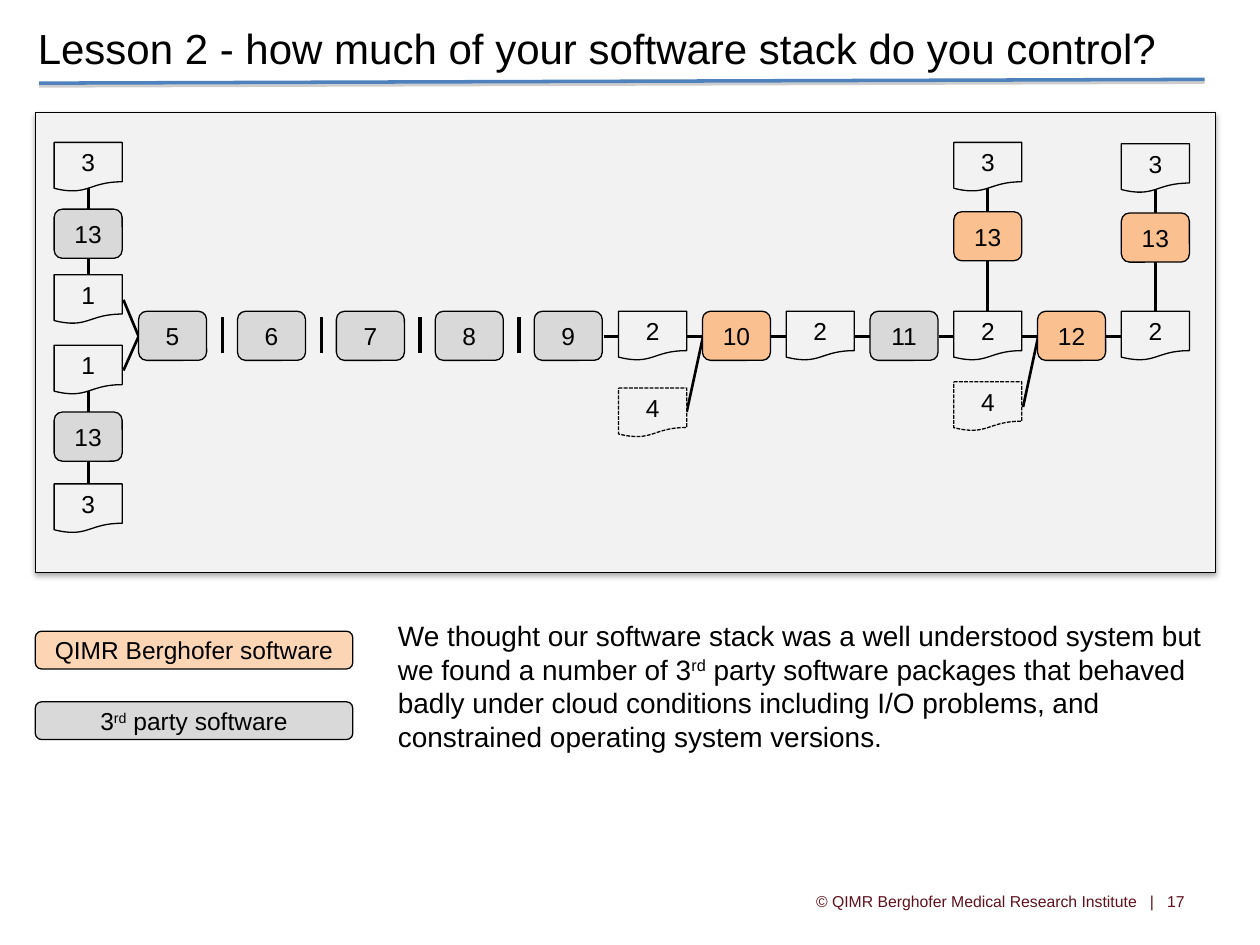
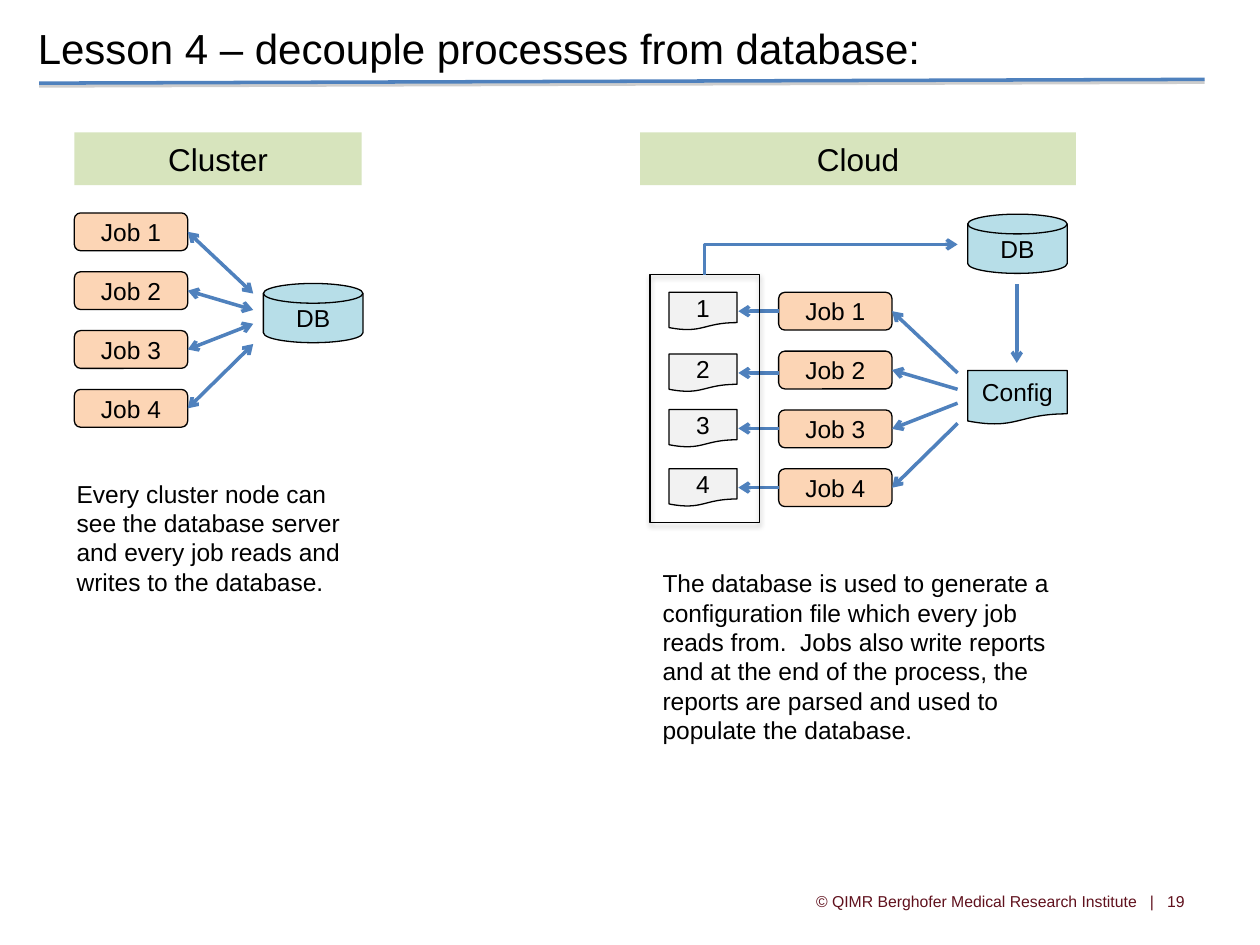
from lxml.etree import SubElement
from pptx import Presentation
from pptx.dml.color import RGBColor
from pptx.enum.dml import MSO_LINE
from pptx.enum.shapes import MSO_CONNECTOR, MSO_SHAPE
from pptx.enum.text import MSO_ANCHOR, MSO_AUTO_SIZE, PP_ALIGN
from pptx.oxml.ns import qn
from pptx.util import Inches, Pt

BLACK = RGBColor(0x00, 0x00, 0x00)
MAROON = RGBColor(0x60, 0x11, 0x1D)
BLUE = RGBColor(0x4F, 0x81, 0xBD)
SHADE = RGBColor(0x80, 0x80, 0x80)
PALE = RGBColor(0xF2, 0xF2, 0xF2)
GREY = RGBColor(0xD9, 0xD9, 0xD9)
ORANGE = RGBColor(0xFA, 0xC0, 0x90)
PEACH = RGBColor(0xFC, 0xD5, 0xB5)
GREEN = RGBColor(0xD7, 0xE4, 0xBD)
AQUA = RGBColor(0xB7, 0xDE, 0xE8)

DOCUMENT = MSO_SHAPE.FLOWCHART_DOCUMENT
DISK = MSO_SHAPE.FLOWCHART_MAGNETIC_DISK
ROUNDED = MSO_SHAPE.ROUNDED_RECTANGLE
RECTANGLE = MSO_SHAPE.RECTANGLE
BOX_SHADOW = {"colour": BLACK, "alpha": 35, "blur": 3.1, "distance": 1.8}
RULE_SHADOW = {"colour": SHADE, "alpha": 38, "blur": 0, "distance": 1.6}

NODE_WIDTH, NODE_HEIGHT = 0.54, 0.39
CHAIN_TOP, CHAIN_MIDDLE = 2.47, 2.67
CHAIN_STEP, STAGE_STEP = 0.665, 0.785
JOB_WIDTH, JOB_HEIGHT, JOB_STEP = 0.9, 0.3, 0.467


class Sketch:
    def __init__(self, deck):
        self.deck = deck
        self.page = None

    def apply(self, target, values):
        for name, value in values.items():
            setattr(target, name, value)

    def new_page(self, title, number):
        self.page = self.deck.slides.add_slide(self.deck.slide_layouts[5])
        box = self.page.shapes.title
        place = {"left": 0.2, "top": 0.13, "width": 9.21, "height": 0.5}
        self.apply(box, {name: Inches(value) for name, value in place.items()})
        self.set_text(box, title, 24)
        self.text(3.42, 6.95, 6.08, 0.4,
                  f"© QIMR Berghofer Medical Research Institute   |   {number}",
                  9, MAROON, PP_ALIGN.RIGHT, MSO_ANCHOR.MIDDLE)
        self.line((0.31, 0.66), (9.56, 0.63), BLUE, 2, shadow=RULE_SHADOW)

    def set_text(self, box, text, size, colour=BLACK, align=PP_ALIGN.LEFT,
                 anchor=MSO_ANCHOR.TOP):
        frame = box.text_frame
        self.apply(frame, {"word_wrap": True, "auto_size": MSO_AUTO_SIZE.NONE,
                           "vertical_anchor": anchor})
        para = frame.paragraphs[0]
        para.alignment = align
        for index, part in enumerate(text.split("^")):
            span = para.add_run()
            span.text = part
            self.apply(span.font, {"name": "Arial", "size": Pt(size)})
            span.font.color.rgb = colour
            if index % 2:
                span._r.get_or_add_rPr().set("baseline", "30000")

    def text(self, left, top, width, height, text, size, *style):
        box = self.page.shapes.add_textbox(
            Inches(left), Inches(top), Inches(width), Inches(height))
        self.set_text(box, text, size, *style)

    def effects(self, shape, shadow):
        effects = SubElement(shape._element.spPr, qn("a:effectLst"))
        if shadow:
            outer = SubElement(effects, qn("a:outerShdw"), {
                "blurRad": str(Pt(shadow["blur"])), "dist": str(Pt(shadow["distance"])),
                "dir": "5400000", "algn": "ctr", "rotWithShape": "0"})
            colour = SubElement(outer, qn("a:srgbClr"), val=str(shadow["colour"]))
            SubElement(colour, qn("a:alpha"), val=str(shadow["alpha"] * 1000))

    def stroke(self, line, colour, width, head=False, tail=False):
        line.color.rgb = colour
        line.width = Pt(width)
        for tag, wanted in (("a:headEnd", head), ("a:tailEnd", tail)):
            if wanted:
                SubElement(line._get_or_add_ln(), qn(tag), type="arrow")

    def shape(self, kind, left, top, width, height, fill=None, text="", size=14,
              edge=0.75, dashed=False, shadow=None):
        box = self.page.shapes.add_shape(
            kind, Inches(left), Inches(top), Inches(width), Inches(height))
        if fill is None:
            box.fill.background()
        else:
            box.fill.solid()
            box.fill.fore_color.rgb = fill
        if edge:
            self.stroke(box.line, BLACK, edge)
        else:
            box.line.fill.background()
        if dashed:
            box.line.dash_style = MSO_LINE.SQUARE_DOT
        self.effects(box, shadow)
        if text:
            margins = ("margin_left", "margin_right", "margin_top", "margin_bottom")
            self.apply(box.text_frame, dict.fromkeys(margins, 0))
            self.set_text(box, text, size, BLACK, PP_ALIGN.CENTER, MSO_ANCHOR.MIDDLE)

    def line(self, start, end, colour=BLACK, width=1.5, head=False, tail=False,
             shadow=None):
        points = [Inches(value) for value in (*start, *end)]
        link = self.page.shapes.add_connector(MSO_CONNECTOR.STRAIGHT, *points)
        self.stroke(link.line, colour, width, head, tail)
        self.effects(link, shadow)

    def arrow(self, start, end, tail=False):
        self.line(start, end, BLUE, 2, head=True, tail=tail)

    def bent_arrow(self, start, *others):
        builder = self.page.shapes.build_freeform(
            Inches(start[0]), Inches(start[1]))
        builder.add_line_segments(
            [(Inches(x), Inches(y)) for x, y in others], close=False)
        route = builder.convert_to_shape()
        route.fill.background()
        self.stroke(route.line, BLUE, 2, tail=True)
        self.effects(route, None)

    def node(self, left, top, text, fill=PALE, dashed=False):
        kind = DOCUMENT if fill == PALE else ROUNDED
        self.shape(kind, left, top, NODE_WIDTH, NODE_HEIGHT, fill, text,
                   dashed=dashed)

    def column(self, left, nodes):
        centre = left + NODE_WIDTH / 2
        first, last = (top + NODE_HEIGHT / 2 for top in (nodes[0][0], nodes[-1][0]))
        self.line((centre, first), (centre, last))
        for top, text, fill in nodes:
            self.node(left, top, text, fill)

    def job_fan(self, left, top, both_ways):
        for index, drop in enumerate((0.64, 0.77, 0.88, 1.04)):
            job_top = top + index * JOB_STEP
            self.shape(ROUNDED, left, job_top, JOB_WIDTH, JOB_HEIGHT, PEACH,
                       f"Job {index + 1}")
            self.arrow((left + JOB_WIDTH, job_top + JOB_HEIGHT / 2),
                       (left + 1.42, top + drop), both_ways)


def software_stack(sketch):
    sketch.new_page("Lesson 2 - how much of your software stack do you control?", 17)
    sketch.shape(RECTANGLE, 0.28, 0.89, 9.37, 3.65, PALE, edge=0.5,
                 shadow=BOX_SHADOW)

    for start in ((0.98, 2.38), (0.98, 2.94)):
        sketch.line(start, (1.1, CHAIN_MIDDLE))
    sketch.line((5.45, 3.27), (5.58, CHAIN_MIDDLE))
    sketch.line((8.12, 3.23), (8.24, CHAIN_MIDDLE))

    sketch.column(0.43, [(1.13, "3", PALE), (1.66, "13", GREY), (2.18, "1", PALE)])
    sketch.column(0.43, [(2.74, "1", PALE), (3.27, "13", GREY), (3.84, "3", PALE)])
    for left, top in ((7.57, 1.13), (8.9, 1.14)):
        sketch.column(left, [(top, "3", PALE), (top + 0.55, "13", ORANGE),
                             (CHAIN_TOP, "2", PALE)])

    for index in range(5):
        left = 1.1 + index * STAGE_STEP
        sketch.node(left, CHAIN_TOP, str(index + 5), GREY)
        if index:
            sketch.line((left - 0.12, 2.52), (left - 0.12, 2.8), width=2)

    steps = {1: ("10", ORANGE), 3: ("11", GREY), 5: ("12", ORANGE)}
    for index in range(7):
        left = 4.91 + index * CHAIN_STEP
        sketch.line((left - 0.12, CHAIN_MIDDLE), (left, CHAIN_MIDDLE))
        if index in steps:
            sketch.node(left, CHAIN_TOP, *steps[index])
        elif index < 4:
            sketch.node(left, CHAIN_TOP, "2")
    for left, top in ((4.91, 3.08), (7.57, 3.03)):
        sketch.node(left, top, "4", dashed=True)

    legend = ((5.01, PEACH, "QIMR Berghofer software"),
              (5.57, GREY, "3^rd^ party software"))
    for top, fill, label in legend:
        sketch.shape(ROUNDED, 0.28, top, 2.52, 0.3, fill, label)
    sketch.text(3.06, 4.86, 6.59, 1.18,
                "We thought our software stack was a well understood system but we "
                "found a number of 3^rd^ party software packages that behaved badly "
                "under cloud conditions including I/O problems, and constrained "
                "operating system versions.", 16)


def database_decoupling(sketch):
    sketch.new_page("Lesson 4 – decouple processes from database:", 19)
    for left, width, label in ((0.59, 2.28, "Cluster"), (5.08, 3.46, "Cloud")):
        sketch.shape(RECTANGLE, left, 1.05, width, 0.42, GREEN, label, 18, edge=0)
    for left, top in ((2.09, 2.25), (7.68, 1.7)):
        sketch.shape(DISK, left, top, 0.79, 0.47, AQUA, "DB")
    sketch.job_fan(0.59, 1.69, True)
    sketch.job_fan(6.18, 2.32, False)

    for number, top in enumerate((2.32, 2.81, 3.25, 3.72), 1):
        sketch.shape(DOCUMENT, 5.31, top, NODE_WIDTH, JOB_HEIGHT, PALE, str(number))
        middle = top + JOB_HEIGHT / 2
        sketch.arrow((5.86, middle), (6.18, middle))
    sketch.shape(RECTANGLE, 5.16, 2.18, 0.87, 1.97, shadow=BOX_SHADOW)
    sketch.shape(DOCUMENT, 7.68, 2.94, 0.79, 0.43, AQUA, "Config")
    sketch.arrow((8.07, 2.88), (8.07, 2.25))
    sketch.bent_arrow((5.59, 2.18), (5.59, 1.94), (7.6, 1.94))

    sketch.text(0.51, 3.75, 2.44, 1.04,
                "Every cluster node can see the database server and every job reads "
                "and writes to the database.", 14)
    sketch.text(5.16, 4.46, 3.39, 1.51,
                "The database is used to generate a configuration file which every "
                "job reads from.  Jobs also write reports and at the end of the "
                "process, the reports are parsed and used to populate the database.",
                14)


def main():
    deck = Presentation()
    deck.slide_width, deck.slide_height = Inches(10), Inches(7.5)
    sketch = Sketch(deck)
    software_stack(sketch)
    database_decoupling(sketch)
    deck.save("out.pptx")


if __name__ == "__main__":
    main()
